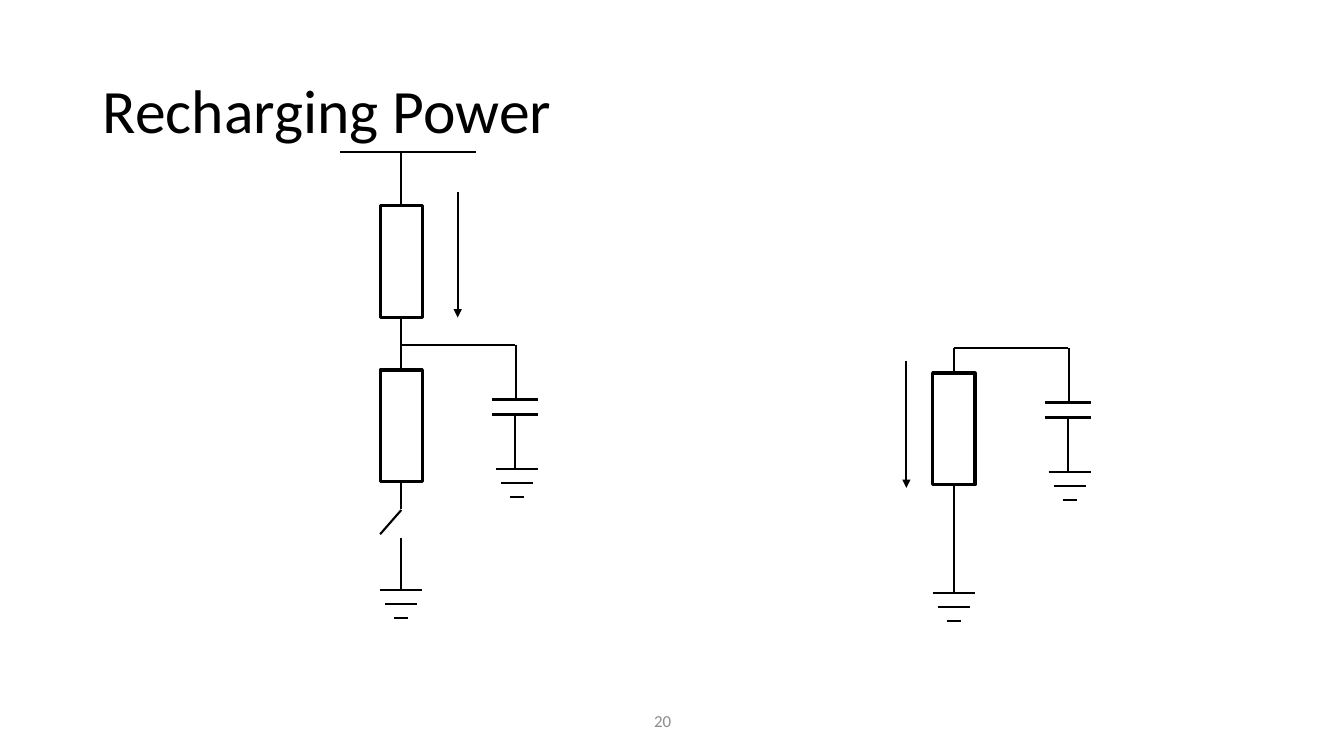
from pptx import Presentation
from pptx.dml.color import RGBColor
from pptx.enum.shapes import MSO_CONNECTOR, MSO_SHAPE
from pptx.enum.text import MSO_ANCHOR, PP_ALIGN
from pptx.oxml.ns import qn
from pptx.util import Pt
from lxml.etree import SubElement

PX = 9144
BLACK = RGBColor(0x00, 0x00, 0x00)
WHITE = RGBColor(0xFF, 0xFF, 0xFF)
GREY = RGBColor(0x8C, 0x8C, 0x8C)
FONT = "Calibri"
WIRE, THICK = 1.5, 2.25
RES_W, RES_H = 42, 111
DROP = 25


def px(*lengths):
    """Turn px lengths into EMU."""
    return [length * PX for length in lengths]


def write_text(tf, text, size=12, color=BLACK, spacing=1.0):
    """Fill a text frame with one left-aligned, vertically centred paragraph."""
    tf.word_wrap = True
    tf.vertical_anchor = MSO_ANCHOR.MIDDLE
    p = tf.paragraphs[0]
    p.alignment = PP_ALIGN.LEFT
    p.line_spacing = spacing
    r = p.add_run()
    r.text = text
    r.font.name, r.font.size = FONT, Pt(size)
    r.font.color.rgb = color


def add_line(shapes, x1, y1, x2, y2, width=WIRE, arrow=False):
    """Draw a straight black line, with an arrowhead at its end if asked."""
    line = shapes.add_connector(MSO_CONNECTOR.STRAIGHT, *px(x1, y1, x2, y2))
    line.line.color.rgb = BLACK
    line.line.width = Pt(width)
    if arrow:
        SubElement(line.line._get_or_add_ln(), qn("a:tailEnd"), type="triangle")
    SubElement(line._element.spPr, qn("a:effectLst"))


def add_resistor(shapes, x, y):
    """Draw a resistor centred on x with its top at y and return its bottom."""
    sp = shapes.add_shape(MSO_SHAPE.RECTANGLE, *px(x - RES_W // 2, y, RES_W, RES_H))
    sp.shadow.inherit = False
    sp.fill.solid()
    sp.fill.fore_color.rgb = WHITE
    sp.line.color.rgb = BLACK
    sp.line.width = Pt(THICK)
    return y + RES_H


def add_ground(shapes, x, y):
    """Draw a ground symbol of three shrinking bars centred on x."""
    for i, half in enumerate((21, 16, 7)):
        add_line(shapes, x - half, y + 14 * i, x + half, y + 14 * i)


def add_capacitor_branch(shapes, x, y):
    """Draw the wire from a node to a grounded capacitor on its right."""
    cap_x = x + 113
    add_line(shapes, x, y, cap_x, y)
    add_line(shapes, cap_x + 1, y, cap_x + 1, y + 54)
    for plate_y in (y + 54, y + 69):
        add_line(shapes, cap_x - 23, plate_y, cap_x + 23, plate_y, THICK)
    add_line(shapes, cap_x, y + 69, cap_x, y + 123)
    add_ground(shapes, cap_x + 2, y + 123)


def add_charging_circuit(s, left, top):
    """Draw the supply, two resistors, open switch and capacitor."""
    shapes = s.shapes.add_group_shape().shapes
    x, node = left + 61, top + 191
    add_line(shapes, left, top, left + 135, top)
    add_line(shapes, x, top, x, top + 53)
    bottom = add_resistor(shapes, x, top + 53)
    add_line(shapes, x, bottom, x, node + DROP)
    bottom = add_resistor(shapes, x, node + DROP)
    add_capacitor_branch(shapes, x, node)
    add_line(shapes, x, bottom, x, bottom + 27)
    add_line(shapes, x - 21, bottom + 52, x, bottom + 28)
    add_line(shapes, x, bottom + 56, x, bottom + 107)
    add_ground(shapes, x, bottom + 107)
    add_line(s.shapes, x + 56, top + 39, x + 56, top + 164, arrow=True)


def add_discharging_circuit(s, left, top):
    """Draw the capacitor emptying through one resistor to ground."""
    shapes = s.shapes.add_group_shape().shapes
    x = left + 21
    add_line(shapes, x, top, x, top + DROP)
    add_capacitor_branch(shapes, x, top)
    bottom = add_resistor(shapes, x, top + DROP)
    add_line(shapes, x, bottom, x, bottom + 107)
    add_ground(shapes, x, bottom + 107)
    add_line(s.shapes, x - 47, top + 13, x - 47, top + 139, arrow=True)


def add_heading(s, left, top, width, height):
    """Place and fill the title placeholder."""
    title = s.shapes.title
    title.left, title.top, title.width, title.height = px(left, top, width, height)
    write_text(title.text_frame, "Recharging Power", size=44, spacing=0.9)


def add_page_number(s, left, top, width, height):
    """Write the page number at the foot of the slide."""
    box = s.shapes.add_textbox(*px(left, top, width, height))
    write_text(box.text_frame, "20", color=GREY)


def main():
    """Build and save the slide."""
    prs = Presentation()
    prs.slide_width, prs.slide_height = px(1333, 750)
    s = prs.slides.add_slide(prs.slide_layouts[5])
    add_page_number(s, 639, 695, 79, 40)
    add_heading(s, 92, 40, 1150, 145)
    add_charging_circuit(s, 337, 151)
    add_discharging_circuit(s, 925, 345)
    prs.save("out.pptx")


if __name__ == "__main__":
    main()
